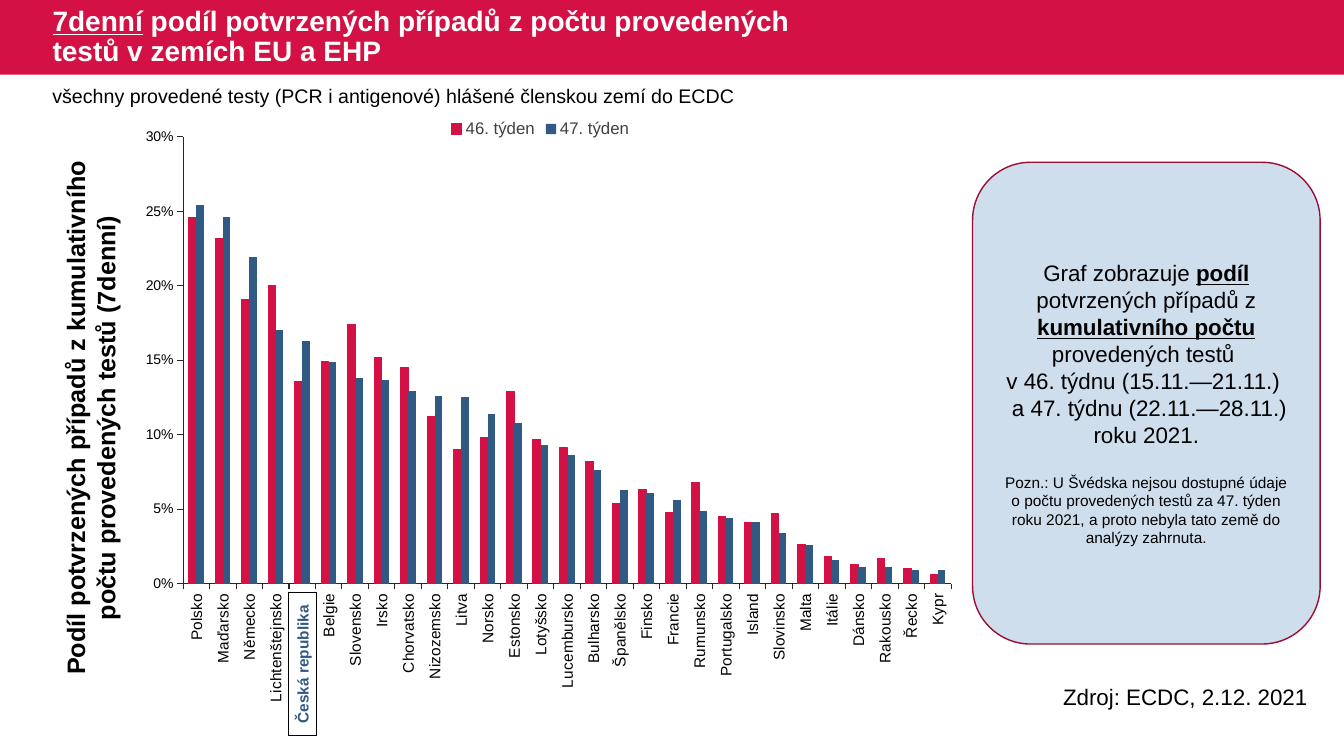
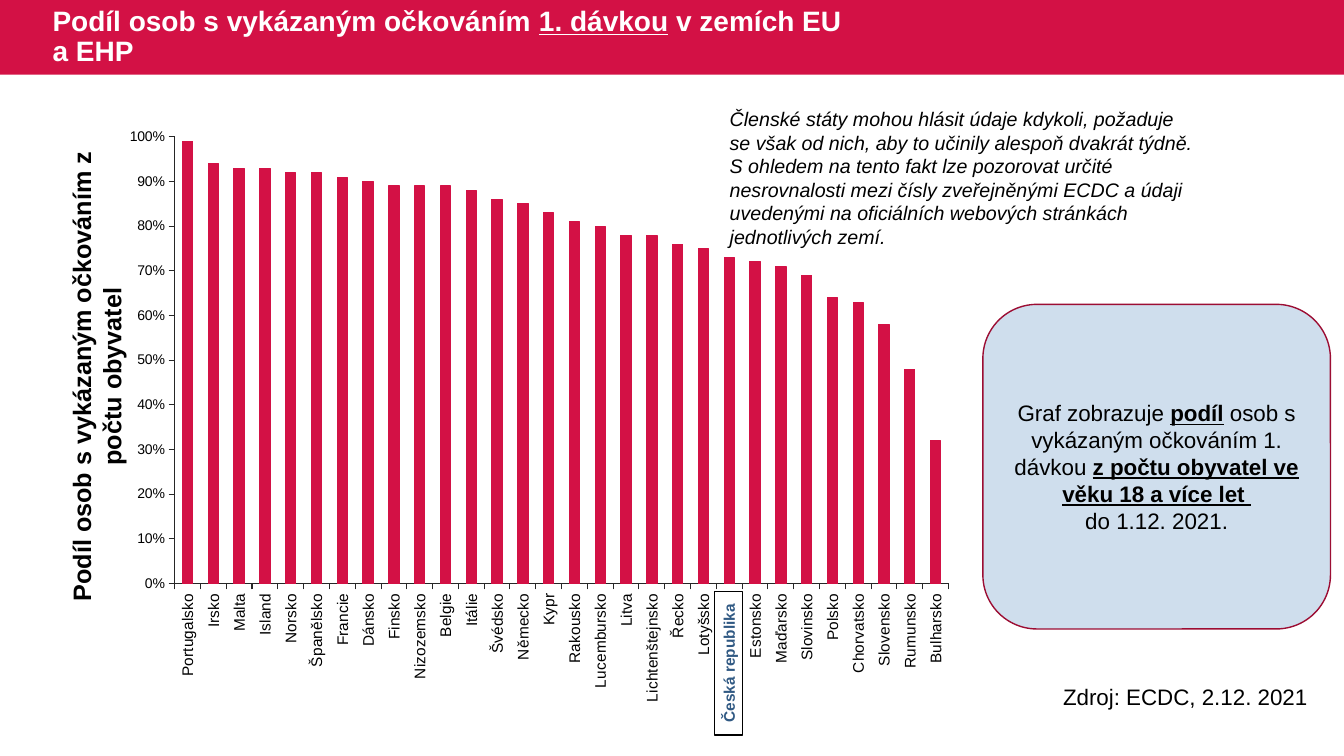
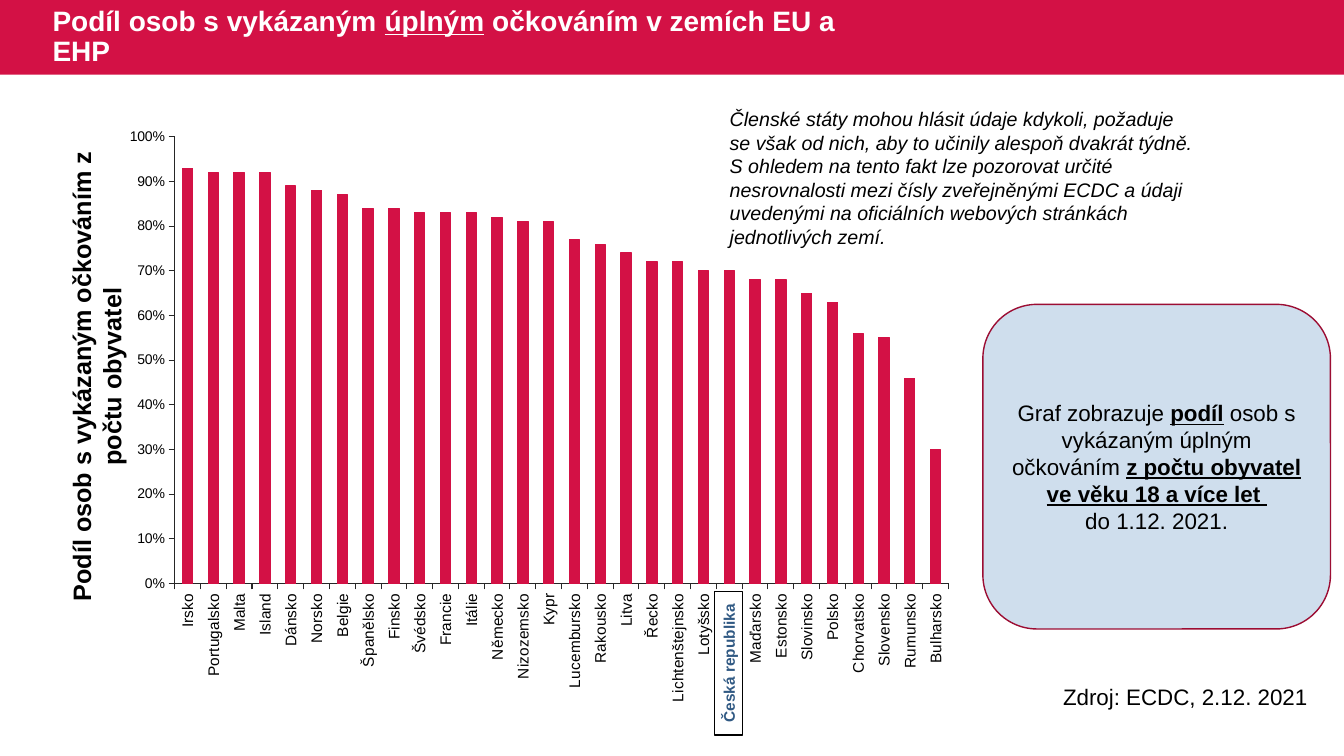
import pptx
import pptx.chart.data
import pptx.dml.color
import pptx.enum.chart
import pptx.enum.shapes
import pptx.enum.text
import pptx.oxml
import pptx.oxml.ns
import pptx.util

Cm = pptx.util.Cm
Pt = pptx.util.Pt
FONT = "Arial"
RED, BLUE, PALE, WINE = "D31145", "305983", "CFDEED", "9C0D33"
BLACK, WHITE, GREY, DARK = "000000", "FFFFFF", "404040", "262626"
LEFT = pptx.enum.text.PP_ALIGN.LEFT
MID = pptx.enum.text.PP_ALIGN.CENTER
RECT = pptx.enum.shapes.MSO_SHAPE.RECTANGLE
ROUND = pptx.enum.shapes.MSO_SHAPE.ROUNDED_RECTANGLE

WIDE, HIGH, BAND = 33.87, 19.05, 1.88
HEAD = (1.07, 0, 20.73, BAND)
SUB = (1.07, 1.98, 31.98, 0.86)
PLOT = (2.95, 2.74, 21.34, 15.11)
NOTE = (18.14, 2.57, 12.34, 3.84)
FOOT = (26.54, 17.09, 7.95, 0.94)
SIDE = (-3.94, 8.59, 12.75, 1.8)
CARD = (24.77, 7.67, 8.76, 8.18)
TAG = (16.56, 16.36, 3.61, 0.71)

CZECH = "Česká republika"
SOURCE = "Zdroj: ECDC, 2.12. 2021"
SHARE = "Podíl osob s vykázaným očkováním z počtu obyvatel"
ADVICE = (
    "Členské státy mohou hlásit údaje kdykoli, požaduje se však od nich, aby to učinily "
    "alespoň dvakrát týdně. S ohledem na tento fakt lze pozorovat určité nesrovnalosti mezi "
    "čísly zveřejněnými ECDC a údaji uvedenými na oficiálních webových stránkách "
    "jednotlivých zemí."
)

TESTS = [
    ("Polsko", 0.246, 0.254), ("Maďarsko", 0.232, 0.246), ("Německo", 0.191, 0.219),
    ("Lichtenštejnsko", 0.2, 0.17), (CZECH, 0.136, 0.163), ("Belgie", 0.149, 0.149),
    ("Slovensko", 0.174, 0.138), ("Irsko", 0.152, 0.137), ("Chorvatsko", 0.145, 0.129),
    ("Nizozemsko", 0.112, 0.126), ("Litva", 0.09, 0.125), ("Norsko", 0.098, 0.114),
    ("Estonsko", 0.129, 0.108), ("Lotyšsko", 0.097, 0.093), ("Lucembursko", 0.091, 0.086),
    ("Bulharsko", 0.082, 0.076), ("Španělsko", 0.054, 0.063), ("Finsko", 0.063, 0.061),
    ("Francie", 0.048, 0.056), ("Rumunsko", 0.068, 0.049), ("Portugalsko", 0.045, 0.044),
    ("Island", 0.041, 0.041), ("Slovinsko", 0.047, 0.034), ("Malta", 0.026, 0.026),
    ("Itálie", 0.018, 0.016), ("Dánsko", 0.013, 0.011), ("Rakousko", 0.017, 0.011),
    ("Řecko", 0.01, 0.009), ("Kypr", 0.006, 0.009),
]
FIRST = [
    ("Portugalsko", 0.99), ("Irsko", 0.94), ("Malta", 0.93), ("Island", 0.93),
    ("Norsko", 0.92), ("Španělsko", 0.92), ("Francie", 0.91), ("Dánsko", 0.9),
    ("Finsko", 0.89), ("Nizozemsko", 0.89), ("Belgie", 0.89), ("Itálie", 0.88),
    ("Švédsko", 0.86), ("Německo", 0.85), ("Kypr", 0.83), ("Rakousko", 0.81),
    ("Lucembursko", 0.8), ("Litva", 0.78), ("Lichtenštejnsko", 0.78), ("Řecko", 0.76),
    ("Lotyšsko", 0.75), (CZECH, 0.73), ("Estonsko", 0.72), ("Maďarsko", 0.71),
    ("Slovinsko", 0.69), ("Polsko", 0.64), ("Chorvatsko", 0.63), ("Slovensko", 0.58),
    ("Rumunsko", 0.48), ("Bulharsko", 0.32),
]
FULL = [
    ("Irsko", 0.93), ("Portugalsko", 0.92), ("Malta", 0.92), ("Island", 0.92),
    ("Dánsko", 0.89), ("Norsko", 0.88), ("Belgie", 0.87), ("Španělsko", 0.84),
    ("Finsko", 0.84), ("Švédsko", 0.83), ("Francie", 0.83), ("Itálie", 0.83),
    ("Německo", 0.82), ("Nizozemsko", 0.81), ("Kypr", 0.81), ("Lucembursko", 0.77),
    ("Rakousko", 0.76), ("Litva", 0.74), ("Řecko", 0.72), ("Lichtenštejnsko", 0.72),
    ("Lotyšsko", 0.7), (CZECH, 0.7), ("Maďarsko", 0.68), ("Estonsko", 0.68),
    ("Slovinsko", 0.65), ("Polsko", 0.63), ("Chorvatsko", 0.56), ("Slovensko", 0.55),
    ("Rumunsko", 0.46), ("Bulharsko", 0.3),
]


def rgb(code):
    """Turn a hex string into a colour."""
    return pptx.dml.color.RGBColor.from_string(code)


def place(box):
    """Turn a box in centimetres into lengths."""
    return [Cm(side) for side in box]


def style(font, size, color, bold=False, slant=False):
    """Set the face, size and colour of a font."""
    font.name, font.size, font.bold, font.italic = FONT, Pt(size), bold, slant
    font.color.rgb = rgb(color)


def write(par, text, size, color=BLACK, align=LEFT, bold=False, slant=False):
    """Fill a paragraph; parts between stars are bold and underlined."""
    par.alignment = align
    style(par.font, size, color, bold, slant)
    for spot, part in enumerate(text.split("*")):
        if part:
            run = par.add_run()
            run.text = part
            if spot % 2:
                run.font.bold = run.font.underline = True


def label(page, box, text, size, turn=0, **look):
    """Add a text box that wraps and grows with its text."""
    shape = page.shapes.add_textbox(*place(box))
    shape.rotation = turn
    frame = shape.text_frame
    frame.word_wrap = True
    frame.auto_size = pptx.enum.text.MSO_AUTO_SIZE.SHAPE_TO_FIT_TEXT
    write(frame.paragraphs[0], text, size, **look)


def block(page, kind, box, fill, line=None):
    """Add a flat preset shape with centred text."""
    shape = page.shapes.add_shape(kind, *place(box))
    shape.shadow.inherit = False
    shape.fill.solid()
    shape.fill.fore_color.rgb = rgb(fill)
    if line:
        shape.line.color.rgb = rgb(line)
        shape.line.width = Pt(1)
    else:
        shape.line.fill.background()
    shape.text_frame.word_wrap = True
    shape.text_frame.vertical_anchor = pptx.enum.text.MSO_ANCHOR.MIDDLE
    return shape


def base(deck):
    """Give the title layout its red band and title place."""
    plan = deck.slide_layouts[5]
    page = deck.slides.add_slide(plan)
    band = block(page, RECT, (0, 0, WIDE, BAND), RED)
    band.element.nvSpPr.cNvPr.id = 20
    plan.shapes.element.insert(2, band.element)
    title = plan.placeholders[0]
    title.left, title.top, title.width, title.height = place(HEAD)
    return page


def head(page, text):
    """Write the slide title on the band."""
    frame = page.shapes.title.text_frame
    frame.word_wrap = True
    frame.auto_size = pptx.enum.text.MSO_AUTO_SIZE.NONE
    frame.vertical_anchor = pptx.enum.text.MSO_ANCHOR.MIDDLE
    par = frame.paragraphs[0]
    par.line_spacing = 0.9
    write(par, text, 20, WHITE, bold=True)


def card(page, box, lines, remark=None):
    """Add the rounded card with its lines and a small remark."""
    frame = block(page, ROUND, box, PALE, WINE).text_frame
    for spot, text in enumerate(lines):
        par = frame.add_paragraph() if spot else frame.paragraphs[0]
        write(par, text, 16, align=MID)
    if remark:
        par = frame.add_paragraph()
        par.space_before = Pt(18)
        write(par, remark, 11, align=MID)


def tag(page, box):
    """Frame the upright name of the home country."""
    shape = block(page, RECT, box, WHITE, BLACK)
    shape.rotation = 270
    write(shape.text_frame.paragraphs[0], CZECH, 11, BLUE, MID, bold=True)


def frame_plot(chart, area):
    """Fix the inner plot area as shares of the chart."""
    plot = chart._chartSpace.chart.plotArea
    for old in plot.findall(pptx.oxml.ns.qn("c:layout")):
        plot.remove(old)
    modes = '<c:layoutTarget val="inner"/><c:xMode val="edge"/><c:yMode val="edge"/>'
    sides = "".join(f'<c:{key} val="{part}"/>' for key, part in zip("xywh", area))
    plot.insert(0, pptx.oxml.parse_xml(
        f'<c:layout {pptx.oxml.ns.nsdecls("c")}><c:manualLayout>'
        f"{modes}{sides}</c:manualLayout></c:layout>"))


def graph(page, box, names, rows, area, top, step):
    """Draw the column chart of country shares."""
    data = pptx.chart.data.CategoryChartData(number_format="0%")
    lands, *cols = zip(*rows)
    data.categories = lands
    for name, col in zip(names, cols):
        data.add_series(name, col)
    kind = pptx.enum.chart.XL_CHART_TYPE.COLUMN_CLUSTERED
    chart = page.shapes.add_chart(kind, *place(box), data).chart
    chart.has_title = False
    style(chart.font, 10, GREY)
    chart.has_legend = len(names) > 1
    if chart.has_legend:
        chart.legend.position = pptx.enum.chart.XL_LEGEND_POSITION.TOP
        chart.legend.include_in_layout = False
        style(chart.legend.font, 12, GREY)
    plot = chart.plots[0]
    plot.gap_width, plot.overlap, plot.vary_by_categories = 150, 0, False
    for bars, color in zip(plot.series, (RED, BLUE)):
        bars.format.fill.solid()
        bars.format.fill.fore_color.rgb = rgb(color)
        if color == RED:
            bars.format.line.color.rgb = rgb(color)
            bars.format.line.width = Pt(0.75)
    for axis, size in ((chart.category_axis, 11), (chart.value_axis, 10)):
        axis.has_major_gridlines = False
        axis.major_tick_mark = pptx.enum.chart.XL_TICK_MARK.OUTSIDE
        axis.format.line.color.rgb = rgb(DARK)
        axis.format.line.width = Pt(0.75)
        style(axis.tick_labels.font, size, BLACK)
    text = chart.category_axis._element.find(pptx.oxml.ns.qn("c:txPr"))
    text.find(pptx.oxml.ns.qn("a:bodyPr")).set("rot", "-5400000")
    axis = chart.value_axis
    axis.minimum_scale, axis.maximum_scale, axis.major_unit = 0, top, step
    axis.tick_labels.number_format = "0%"
    axis.tick_labels.number_format_is_linked = False
    frame_plot(chart, area)


def tests(page):
    """Build the slide on positive tests."""
    head(page, "*7denní* podíl potvrzených případů z počtu provedených testů v zemích EU a EHP")
    label(page, FOOT, SOURCE, 16)
    label(page, (-4.6, 9.63, 13.77, 1.8),
          "Podíl potvrzených případů z kumulativního počtu provedených testů (7denní)",
          18, 270, align=MID, bold=True)
    graph(page, PLOT, ("46. týden", "47. týden"), TESTS,
          (0.078, 0.047, 0.907, 0.745), 0.3, 0.05)
    card(page, (24.51, 4.09, 8.76, 12.14), (
        "Graf zobrazuje *podíl* potvrzených případů z *kumulativního počtu* provedených testů ",
        "v 46. týdnu (15.11.—21.11.) ",
        " a 47. týdnu (22.11.—28.11.) roku 2021.",
    ), "Pozn.: U Švédska nejsou dostupné údaje o počtu provedených testů za 47. týden "
       "roku 2021, a proto nebyla tato země do analýzy zahrnuta.")
    tag(page, (5.82, 16.38, 3.61, 0.71))
    label(page, SUB,
          "všechny provedené testy (PCR i antigenové) hlášené členskou zemí do ECDC", 14)


def doses(page, title, rows, kind):
    """Build a slide on vaccination shares."""
    head(page, title)
    label(page, SIDE, SHARE, 18, 270, align=MID, bold=True)
    graph(page, PLOT, ("Series 1",), rows, (0.068, 0.047, 0.914, 0.745), 1, 0.1)
    card(page, CARD, (
        f"Graf zobrazuje *podíl* osob s vykázaným {kind} "
        "*z počtu obyvatel ve věku 18 a více let *",
        "do 1.12. 2021.",
    ))
    tag(page, TAG)
    label(page, FOOT, SOURCE, 16)
    label(page, NOTE, ADVICE, 14, slant=True)


def main():
    """Build and save the deck."""
    deck = pptx.Presentation()
    deck.slide_width, deck.slide_height = Cm(WIDE), Cm(HIGH)
    tests(base(deck))
    for title, rows, kind in (
        ("Podíl osob s vykázaným očkováním *1. dávkou* v zemích EU a EHP",
         FIRST, "očkováním 1. dávkou"),
        ("Podíl osob s vykázaným *úplným* očkováním v zemích EU a EHP",
         FULL, "úplným očkováním"),
    ):
        doses(deck.slides.add_slide(deck.slide_layouts[5]), title, rows, kind)
    deck.save("out.pptx")


if __name__ == "__main__":
    main()
